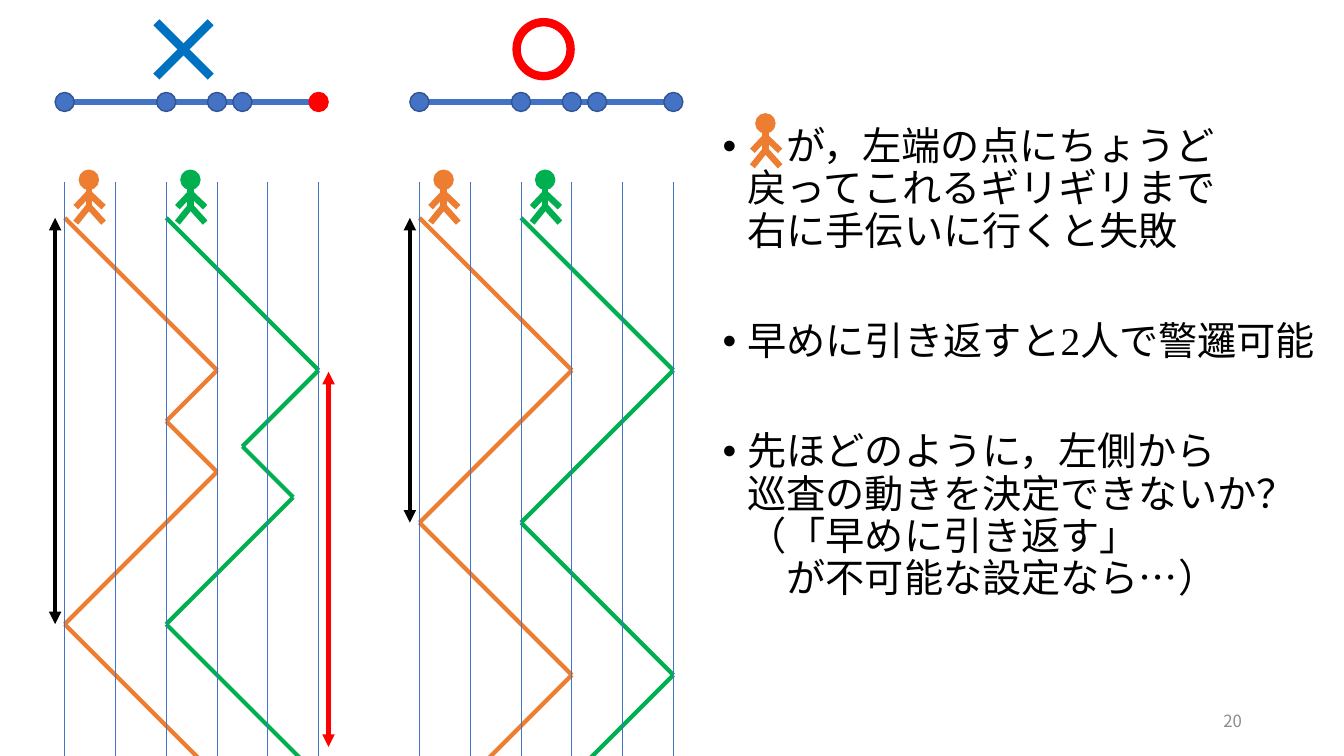
from dataclasses import dataclass
from itertools import pairwise

from lxml import etree
from pptx import Presentation
from pptx import util as u
from pptx.dml.color import RGBColor
from pptx.enum import shapes, text
from pptx.oxml import ns

ORANGE, GREEN, BLUE, RED, BLACK = "ED7D31", "00B050", "4472C4", "FF0000", "000000"
DOT_EDGE, CROSS_BLUE, GREY = "325491", "0070C0", "8C8C8C"
JAPANESE, LATIN = "Noto Sans CJK JP", "Times New Roman"

# Lengths in centimetres
STEP = 1.28
DOT = 0.48
STREET_Y = 2.57
GRID_TOP, GRID_BOTTOM = 4.58, 20.1
START_Y = 5.49
HEAD_TOP = 4.29
FIGURE_SHIFT = 0.61
DOT_COLUMNS = (0, 2, 3, 3.5, 5)


@dataclass(frozen=True)
class Walk:
    color: str
    turns: tuple[float, ...]  # grid columns where the walker starts and turns

    def points(self, left: float) -> list[tuple[float, float]]:
        """Walkers move at unit speed, so time grows with the distance covered."""
        y = START_Y
        points = [(left + self.turns[0] * STEP, y)]
        for start, end in pairwise(self.turns):
            y += abs(end - start) * STEP
            points.append((left + end * STEP, y))
        return points


@dataclass(frozen=True)
class Panel:
    left: float
    last_dot: tuple[str, str]  # fill and edge
    walks: tuple[Walk, Walk]
    return_turn: int  # turn at which the first walker is back at the left end


PANELS = (
    Panel(1.63, (RED, RED),
          (Walk(ORANGE, (0, 3, 2, 3, 0, 3)), Walk(GREEN, (2, 5, 3.5, 4.5, 2, 5))), 4),
    Panel(10.57, (BLUE, DOT_EDGE),
          (Walk(ORANGE, (0, 3, 0, 3, 0)), Walk(GREEN, (2, 5, 2, 5, 2))), 2),
)

POINTS = (
    (("\u3000が，左端の点にちょうど\v戻ってこれるギリギリまで\v右に手伝いに行くと失敗".replace("\u3000", "　"), JAPANESE),),
    (("早めに引き返すと", JAPANESE), ("2", LATIN), ("人で警邏可能", JAPANESE)),
    (("先ほどのように，左側から\v巡査の動きを決定できないか？（「早めに引き返す」\v　が不可能な設定なら…）", JAPANESE),),
)


def rgb(color: str) -> RGBColor:
    return RGBColor.from_string(color)


def add_line(parent, start: tuple[float, float], end: tuple[float, float],
             color: str, width: float, arrows: bool = False) -> None:
    line = parent.add_connector(
        shapes.MSO_CONNECTOR.STRAIGHT, *(u.Cm(value) for value in (*start, *end)))
    line.line.color.rgb = rgb(color)
    line.line.width = u.Pt(width)
    if arrows:
        outline = line.line._get_or_add_ln()
        for tag in ("a:headEnd", "a:tailEnd"):
            etree.SubElement(outline, ns.qn(tag), type="triangle")
    etree.SubElement(line._element.spPr, ns.qn("a:effectLst"))


def add_circle(parent, x: float, y: float, size: float, fill: str | None,
               edge: str, width: float = 1) -> None:
    """Draw a circle centred on x, y."""
    circle = parent.add_shape(
        shapes.MSO_SHAPE.OVAL, u.Cm(x - size / 2), u.Cm(y - size / 2), u.Cm(size), u.Cm(size))
    circle.shadow.inherit = False
    if fill:
        circle.fill.solid()
        circle.fill.fore_color.rgb = rgb(fill)
    else:
        circle.fill.background()
    circle.line.color.rgb = rgb(edge)
    circle.line.width = u.Pt(width)


def add_walker(parent, x: float, top: float, color: str) -> None:
    walker = parent.add_group_shape().shapes
    add_circle(walker, x, top + DOT / 2, DOT, color, color)
    add_line(walker, (x, top + DOT), (x, top + 0.94), color, 4.5)
    for joint, limb_end in ((0.58, 0.93), (0.91, 1.32)):
        for reach in (-0.33, 0.37):
            add_line(walker, (x, top + joint), (x + reach, top + limb_end), color, 4.5)


def add_panel(parent, panel: Panel) -> None:
    left = panel.left
    for walk in panel.walks:
        for start, end in pairwise(walk.points(left)):
            add_line(parent, start, end, walk.color, 3)
    for column in range(6):
        x = left + column * STEP
        add_line(parent, (x, GRID_TOP), (x, GRID_BOTTOM), BLUE, 0.5)

    right = left + DOT_COLUMNS[-1] * STEP
    add_line(parent, (left + DOT / 2, STREET_Y), (right - DOT / 2, STREET_Y), BLUE, 4.5)
    for column in DOT_COLUMNS:
        fill, edge = panel.last_dot if column == DOT_COLUMNS[-1] else (BLUE, DOT_EDGE)
        add_circle(parent, left + column * STEP, STREET_Y, DOT, fill, edge)

    for walk in panel.walks:
        add_walker(parent, left + walk.turns[0] * STEP + FIGURE_SHIFT, HEAD_TOP, walk.color)
    return_y = panel.walks[0].points(left)[panel.return_turn][1]
    arrow_x = left - 0.24
    add_line(parent, (arrow_x, START_Y), (arrow_x, return_y), BLACK, 3, arrows=True)


def set_font(font, name: str, size: float, color: str) -> None:
    """Set the font for both Latin and Japanese characters."""
    font.size = u.Pt(size)
    font.color.rgb = rgb(color)
    font.name = name
    latin = font._element.find(ns.qn("a:latin"))
    east_asian = etree.Element(ns.qn("a:ea"), typeface=name)
    latin.addnext(east_asian)


def add_bullet(paragraph) -> None:
    properties = paragraph._p.get_or_add_pPr()
    properties.set("marL", str(u.Cm(0.63)))
    properties.set("indent", str(u.Cm(-0.63)))
    etree.SubElement(properties, ns.qn("a:buFont"), typeface="Arial")
    etree.SubElement(properties, ns.qn("a:buChar"), char="•")


def add_text_frame(parent, left: float, top: float, width: float, height: float):
    frame = parent.add_textbox(u.Cm(left), u.Cm(top), u.Cm(width), u.Cm(height)).text_frame
    frame.word_wrap = True
    return frame


def add_points(parent) -> None:
    frame = add_text_frame(parent, 17.96, 3.07, 15.9, 14.6)
    for index, segments in enumerate(POINTS):
        paragraph = frame.add_paragraph() if index else frame.paragraphs[0]
        paragraph.line_spacing = 0.9
        if index:
            paragraph.space_before = u.Pt(48.5)
        add_bullet(paragraph)
        set_font(paragraph.font, JAPANESE, 28, BLACK)
        if len(segments) == 1:
            paragraph.text = segments[0][0]
            continue
        for words, font_name in segments:
            run = paragraph.add_run()
            run.text = words
            if font_name != JAPANESE:
                run.font.name = font_name


def add_page_number(parent) -> None:
    frame = add_text_frame(parent, 23.93, 17.65, 7.62, 1.02)
    frame.vertical_anchor = text.MSO_ANCHOR.MIDDLE
    paragraph = frame.paragraphs[0]
    paragraph.text = "20"
    paragraph.alignment = text.PP_ALIGN.RIGHT
    set_font(paragraph.font, JAPANESE, 12, GREY)


def main() -> None:
    presentation = Presentation()
    presentation.slide_width, presentation.slide_height = u.Cm(33.87), u.Cm(19.05)
    slide = presentation.slides.add_slide(presentation.slide_layouts[6])
    parent = slide.shapes

    for panel in PANELS:
        add_panel(parent, panel)
    add_line(parent, (8.28, 9.37), (8.28, 18.82), RED, 3, arrows=True)

    add_line(parent, (3.94, 0.56), (5.31, 1.93), CROSS_BLUE, 6)
    add_line(parent, (3.94, 1.93), (5.31, 0.56), CROSS_BLUE, 6)
    add_circle(parent, 13.7, 1.24, 1.36, None, RED, 6)

    add_points(parent)
    add_walker(parent, 19.29, 2.87, ORANGE)
    add_page_number(parent)
    presentation.save("out.pptx")


if __name__ == "__main__":
    main()
